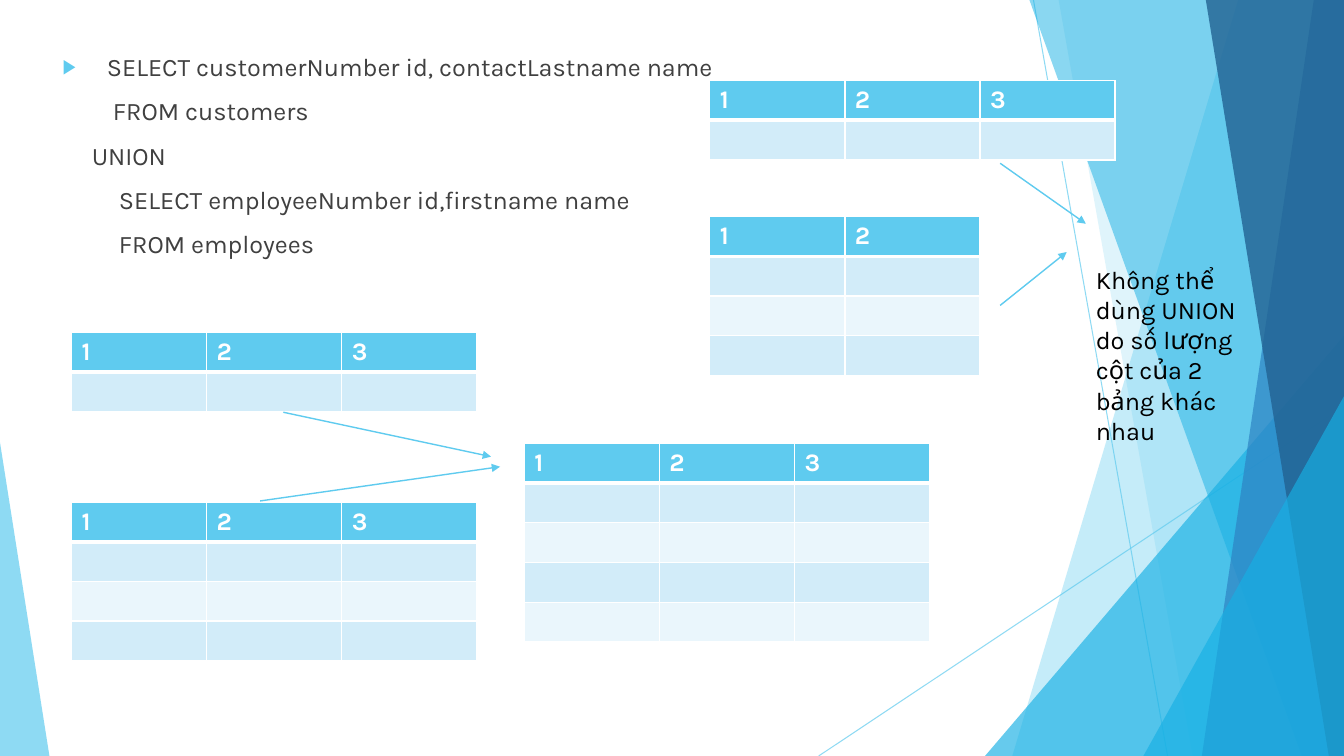
from lxml import etree
from pptx import Presentation
from pptx.dml.color import RGBColor
from pptx.enum.shapes import MSO_CONNECTOR, MSO_SHAPE
from pptx.enum.text import MSO_ANCHOR, MSO_AUTO_SIZE, PP_ALIGN
from pptx.oxml.ns import qn
from pptx.util import Inches, Pt

LINE = MSO_CONNECTOR.STRAIGHT
TRIANGLE = MSO_SHAPE.ISOSCELES_TRIANGLE
TOP, LEFT = MSO_ANCHOR.TOP, PP_ALIGN.LEFT
FIT_NONE = MSO_AUTO_SIZE.NONE

FONT, SIZE = "Karla", 18
SKY, AZURE, BLUE, NAVY = "5FCBEF", "17B0E4", "2E83C3", "226292"
WHITE, BLACK, GREY = "FFFFFF", "000000", "404040"
BANDS = ["D2ECF9", "EAF6FC"]
WIDE, HIGH = 13.33, 7.5
COL, ROW = 1.34, 0.39

# left margin, text; the first line carries the bullet
QUERY = [
    (0.44, "SELECT customerNumber id, contactLastname name"),
    (0.5, "FROM customers"),
    (0.29, "UNION"),
    (0.56, "SELECT employeeNumber id,firstname name"),
    (0.56, "FROM employees"),
]
NOTE = "Không thể dùng UNION do số lượng cột của 2 bảng khác nhau"

# left, top, columns, rows
TABLES = [
    (0.71, 3.3, 3, 2),
    (0.71, 4.98, 3, 4),
    (5.2, 4.4, 3, 5),
    (7.04, 0.8, 3, 2),
    (7.04, 2.15, 2, 4),
]
ARROWS = [
    (2.81, 4.09, 4.87, 4.53),
    (2.58, 4.97, 4.96, 4.63),
    (9.92, 1.62, 10.77, 2.22),
    (9.92, 3.03, 10.58, 2.5),
]
RAYS = [(10.25, 0, 11.58, HIGH), (WIDE, 4.03, 8.12, HIGH)]

# Bands reach the right edge: top x, bottom x, colour, opacity
# Wedges: left, top, width, apex, colour, opacity
BACKDROP = [
    ("band", (12.28, 10.04, SKY, 36)),
    ("band", (10.5, 11.83, SKY, 20)),
    ("wedge", (9.77, 3.33, 3.56, 1, AZURE, 66)),
    ("band", (10.21, 12.91, AZURE, 50)),
    ("band", (13.03, 11.92, BLUE, 70)),
    ("band", (11.96, 13.18, NAVY, 80)),
    ("wedge", (11.34, 3.93, 1.99, 1, AZURE, 66)),
    ("wedge", (0, 4.39, 0.49, 0, SKY, 70)),
]


def rgb(code):
    return RGBColor.from_string(code)


def add(parent, tag, **attrs):
    node = etree.SubElement(parent, qn(tag))
    for key, value in attrs.items():
        node.set(key, str(value))
    return node


def fade(parent, share):
    """Set the opacity, in percent, of the solid fill under parent."""
    color = parent.find(qn("a:solidFill")).find(qn("a:srgbClr"))
    add(color, "a:alpha", val=share * 1000)


def paint(shape, code, share):
    shape.shadow.inherit = False
    shape.fill.solid()
    shape.fill.fore_color.rgb = rgb(code)
    shape.line.fill.background()
    fade(shape._element.spPr, share)


def band(shapes, top, foot, code, share):
    pen = shapes.build_freeform(Inches(top), 0)
    points = [(WIDE, 0), (WIDE, HIGH), (foot, HIGH)]
    pen.add_line_segments([(Inches(x), Inches(y)) for x, y in points])
    paint(pen.convert_to_shape(), code, share)


def wedge(shapes, left, top, width, apex, code, share):
    shape = shapes.add_shape(TRIANGLE, Inches(left), Inches(top),
                             Inches(width), Inches(HIGH - top))
    shape.adjustments[0] = apex
    paint(shape, code, share)


def link(shapes, ends, weight):
    line = shapes.add_connector(LINE, *[Inches(v) for v in ends])
    line.line.color.rgb = rgb(SKY)
    line.line.width = Pt(weight)
    add(line._element.spPr, "a:effectLst")
    return line.line._get_or_add_ln()


def write(para, text, code, bold=False):
    para.alignment = LEFT
    run = para.add_run()
    run.text = text
    run.font.name, run.font.size = FONT, Pt(SIZE)
    run.font.bold = bold
    run.font.color.rgb = rgb(code)


def border(cell, row):
    heavy = {0: "a:lnB", 1: "a:lnT"}.get(row)
    props = cell._tc.get_or_add_tcPr()
    for tag in ("a:lnL", "a:lnR", "a:lnT", "a:lnB"):
        side = add(props, tag, w=Pt(3 if tag == heavy else 1))
        add(add(side, "a:solidFill"), "a:srgbClr", val=WHITE)


def grid(shapes, left, top, cols, rows):
    table = shapes.add_table(rows, cols, Inches(left), Inches(top),
                             Inches(cols * COL), Inches(rows * ROW)).table
    for col in table.columns:
        col.width = Inches(COL)
    for r in range(rows):
        table.rows[r].height = Inches(ROW)
        for c in range(cols):
            cell = table.cell(r, c)
            border(cell, r)
            cell.fill.solid()
            cell.fill.fore_color.rgb = rgb(BANDS[(r - 1) % 2] if r else SKY)
            para = cell.text_frame.paragraphs[0]
            if r == 0:
                write(para, str(c + 1), WHITE, True)
            else:
                end = add(para._p, "a:endParaRPr", sz=SIZE * 100)
                add(end, "a:latin", typeface=FONT)


def query(body):
    body.left, body.top = Inches(0.52), Inches(0.46)
    body.width, body.height = Inches(9.4), Inches(4.24)
    frame = body.text_frame
    frame.word_wrap, frame.auto_size = True, FIT_NONE
    frame.vertical_anchor = TOP
    for i, (margin, text) in enumerate(QUERY):
        para = frame.add_paragraph() if i else frame.paragraphs[0]
        para.space_before = Pt(10 if i else 0)
        props = para._p.get_or_add_pPr()
        props.set("marL", str(Inches(margin)))
        props.set("indent", str(0 if i else -Inches(margin)))
        if i:
            add(props, "a:buNone")
        else:
            add(add(props, "a:buClr"), "a:srgbClr", val=SKY)
            add(props, "a:buSzPct", val=80000)
            add(props, "a:buFont", typeface="Arial")
            add(props, "a:buChar", char="▶")
        write(para, text, GREY)


def main():
    deck = Presentation()
    deck.slide_width, deck.slide_height = Inches(WIDE), Inches(HIGH)
    slide = deck.slides.add_slide(deck.slide_layouts[1])
    shapes = slide.shapes
    title = shapes.title._element
    title.getparent().remove(title)
    body = slide.placeholders[1]

    for ray in RAYS:
        fade(link(shapes, ray, 0.75), 70)
    draw = {"band": band, "wedge": wedge}
    for kind, args in BACKDROP:
        draw[kind](shapes, *args)

    query(body)
    shapes._spTree.append(body._element)
    for place in TABLES:
        grid(shapes, *place)
    for ends in ARROWS:
        add(link(shapes, ends, 1), "a:tailEnd", type="triangle")

    note = shapes.add_textbox(Inches(10.77), Inches(2.57),
                              Inches(1.64), Inches(1.92)).text_frame
    note.word_wrap = True
    write(note.paragraphs[0], NOTE, BLACK)
    deck.save("out.pptx")


if __name__ == "__main__":
    main()
